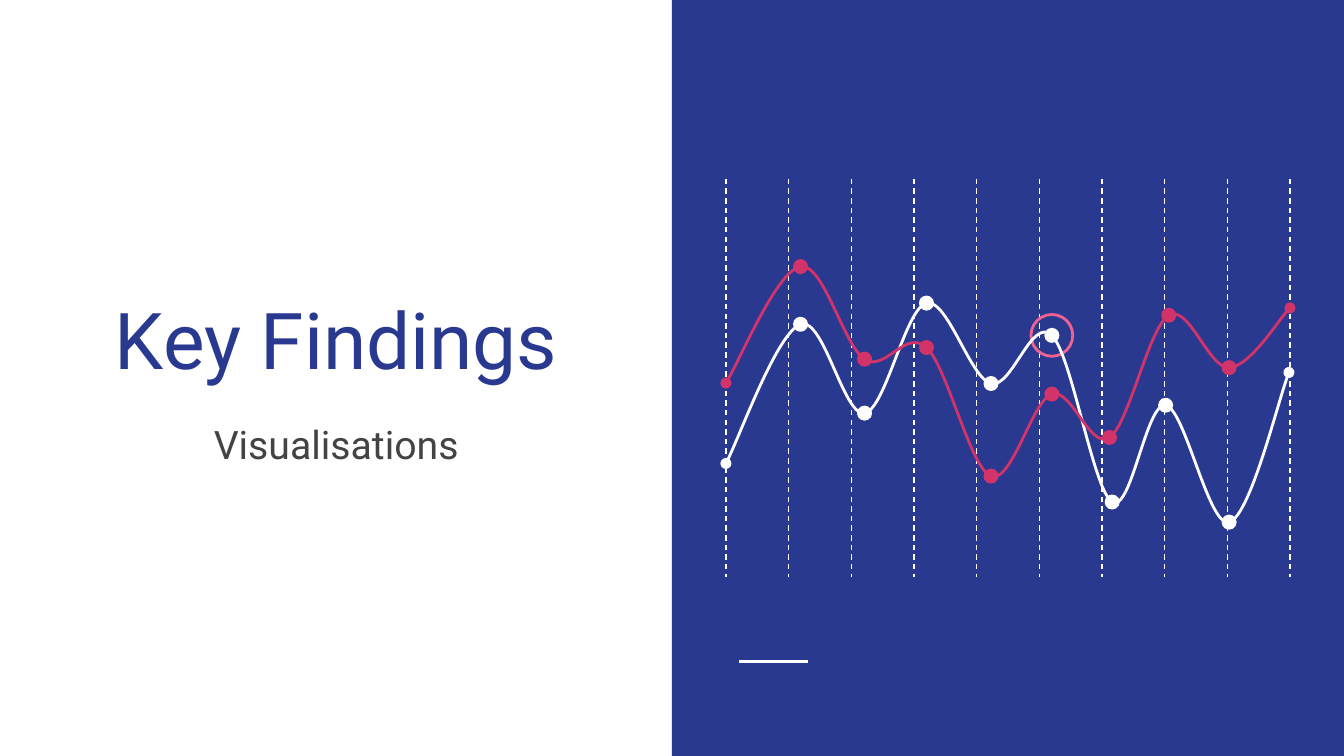
from dataclasses import dataclass

from lxml import etree
from pptx import Presentation
from pptx.dml.color import RGBColor
from pptx.enum.dml import MSO_LINE
from pptx.enum.shapes import MSO_CONNECTOR, MSO_SHAPE
from pptx.enum.text import MSO_ANCHOR, PP_ALIGN
from pptx.oxml.ns import qn
from pptx.util import Cm, Pt

RECT, OVAL = MSO_SHAPE.RECTANGLE, MSO_SHAPE.OVAL
STRAIGHT, DASH = MSO_CONNECTOR.STRAIGHT, MSO_LINE.DASH
CENTER = PP_ALIGN.CENTER
TOP, BOTTOM = MSO_ANCHOR.TOP, MSO_ANCHOR.BOTTOM
TITLE_ONLY = 5


@dataclass(frozen=True)
class Theme:
    font: str = "Roboto"
    title_size: int = 42
    subtitle_size: int = 21
    blue: str = "2A3990"
    grey: str = "434343"
    white: str = "FFFFFF"
    red: str = "D23369"
    pink: str = "F06292"
    thin: float = 0.75
    thick: float = 1.5


class Deck:
    """Holds the theme and the current slide; lengths are in centimetres."""

    def __init__(self, theme, width, height):
        self.theme = theme
        self.prs = Presentation()
        self.prs.slide_width, self.prs.slide_height = Cm(width), Cm(height)
        self.slide = self.prs.slides.add_slide(self.prs.slide_layouts[TITLE_ONLY])
        self.shapes = self.slide.shapes

    def group(self):
        return self.slide.shapes.add_group_shape().shapes

    def stroke(self, line, color, width):
        line.color.rgb = RGBColor.from_string(color)
        line.width = Pt(width)

    def shape(self, shapes, kind, x, y, w, h, fill=None, line=None):
        sp = shapes.add_shape(kind, Cm(x), Cm(y), Cm(w), Cm(h))
        sp.shadow.inherit = False
        if fill:
            sp.fill.solid()
            sp.fill.fore_color.rgb = RGBColor.from_string(fill)
        else:
            sp.fill.background()
        if line:
            self.stroke(sp.line, line, self.theme.thick)
        else:
            sp.line.fill.background()

    def circle(self, shapes, center, size, line, fill=None):
        x, y = center
        self.shape(shapes, OVAL, x - size / 2, y - size / 2, size, size, fill, line)

    def line(self, shapes, x1, y1, x2, y2, color, width, dash=None):
        cn = shapes.add_connector(STRAIGHT, Cm(x1), Cm(y1), Cm(x2), Cm(y2))
        self.stroke(cn.line, color, width)
        if dash:
            cn.line.dash_style = dash
        etree.SubElement(cn._element.spPr, qn("a:effectLst"))

    def text(self, sp, text, x, y, w, h, size, color, anchor):
        sp.left, sp.top, sp.width, sp.height = Cm(x), Cm(y), Cm(w), Cm(h)
        tf = sp.text_frame
        tf.text = text
        tf.word_wrap = True
        tf.vertical_anchor = anchor
        tf.margin_left = tf.margin_right = tf.margin_top = tf.margin_bottom = Cm(0.25)
        p = tf.paragraphs[0]
        p.alignment = CENTER
        font = p.runs[0].font
        font.name, font.size = self.theme.font, Pt(size)
        font.color.rgb = RGBColor.from_string(color)

    def curve(self, shapes, knots, color):
        """Smooth Catmull-Rom curve through the knots, with round ends."""
        padded = [knots[0], *knots, knots[-1]]
        slopes = [((c[0] - a[0]) / 6, (c[1] - a[1]) / 6)
                  for a, c in zip(padded, padded[2:])]
        points = []
        for (x1, y1), (x2, y2), (u1, v1), (u2, v2) in zip(
                knots, knots[1:], slopes, slopes[1:]):
            points += [(x1 + u1, y1 + v1), (x2 - u2, y2 - v2), (x2, y2)]
        x, y = knots[0]
        builder = shapes.build_freeform(Cm(x), Cm(y))
        builder.add_line_segments([(Cm(a), Cm(b)) for a, b in points], close=False)
        sp = builder.convert_to_shape()
        sp.shadow.inherit = False
        sp.fill.background()
        self.stroke(sp.line, color, self.theme.thick)
        for end in ("a:headEnd", "a:tailEnd"):
            etree.SubElement(sp._element.spPr.find(qn("a:ln")), qn(end), type="oval")

        # Turn each three points into one Bezier segment
        segments = list(sp._element.iter(qn("a:lnTo")))
        for i in range(0, len(segments), 3):
            bezier = etree.Element(qn("a:cubicBezTo"))
            segments[i].addprevious(bezier)
            for segment in segments[i:i + 3]:
                bezier.append(segment[0])
                segment.getparent().remove(segment)

    def series(self, knots, color):
        shapes = self.group()
        self.curve(shapes, knots, color)
        for knot in knots[1:-1]:
            self.circle(shapes, knot, 0.23, color, color)


def main():
    theme = Theme()
    s = Deck(theme, 25.4, 14.29)

    # Right panel with its short rule
    s.shape(s.shapes, RECT, 12.7, 0, 12.7, 14.29, fill=theme.blue)
    s.line(s.shapes, 13.97, 12.5, 15.27, 12.5, theme.white, theme.thick)

    # Title and subtitle
    s.text(s.shapes.title, "Key Findings", 0.74, 3.2, 11.23, 4.34,
           theme.title_size, theme.blue, BOTTOM)
    subtitle = s.shapes.add_textbox(0, 0, 0, 0)
    s.text(subtitle, "Visualisations", 0.74, 7.7, 11.23, 3.53,
           theme.subtitle_size, theme.grey, TOP)

    # Ten evenly spaced grid lines
    left, right, count = 13.72, 24.38, 10
    grid = s.group()
    for i in range(count):
        x = left + i * (right - left) / (count - 1)
        s.line(grid, x, 3.38, x, 10.9, theme.white, theme.thin, DASH)

    # Two series and the highlighted point
    white = [(left, 8.76), (15.13, 6.13), (16.34, 7.81), (17.51, 5.73), (18.73, 7.25),
             (19.88, 6.34), (21.02, 9.49), (22.03, 7.66), (23.23, 9.87), (24.36, 7.04)]
    red = [(left, 7.24), (15.13, 5.04), (16.34, 6.79), (17.51, 6.57), (18.73, 9.0),
           (19.88, 7.45), (20.97, 8.27), (22.09, 5.96), (23.23, 6.95), (right, 5.82)]
    s.circle(s.shapes, white[5], 0.79, theme.pink)
    s.series(white, theme.white)
    s.series(red, theme.red)

    s.prs.save("out.pptx")


if __name__ == "__main__":
    main()
